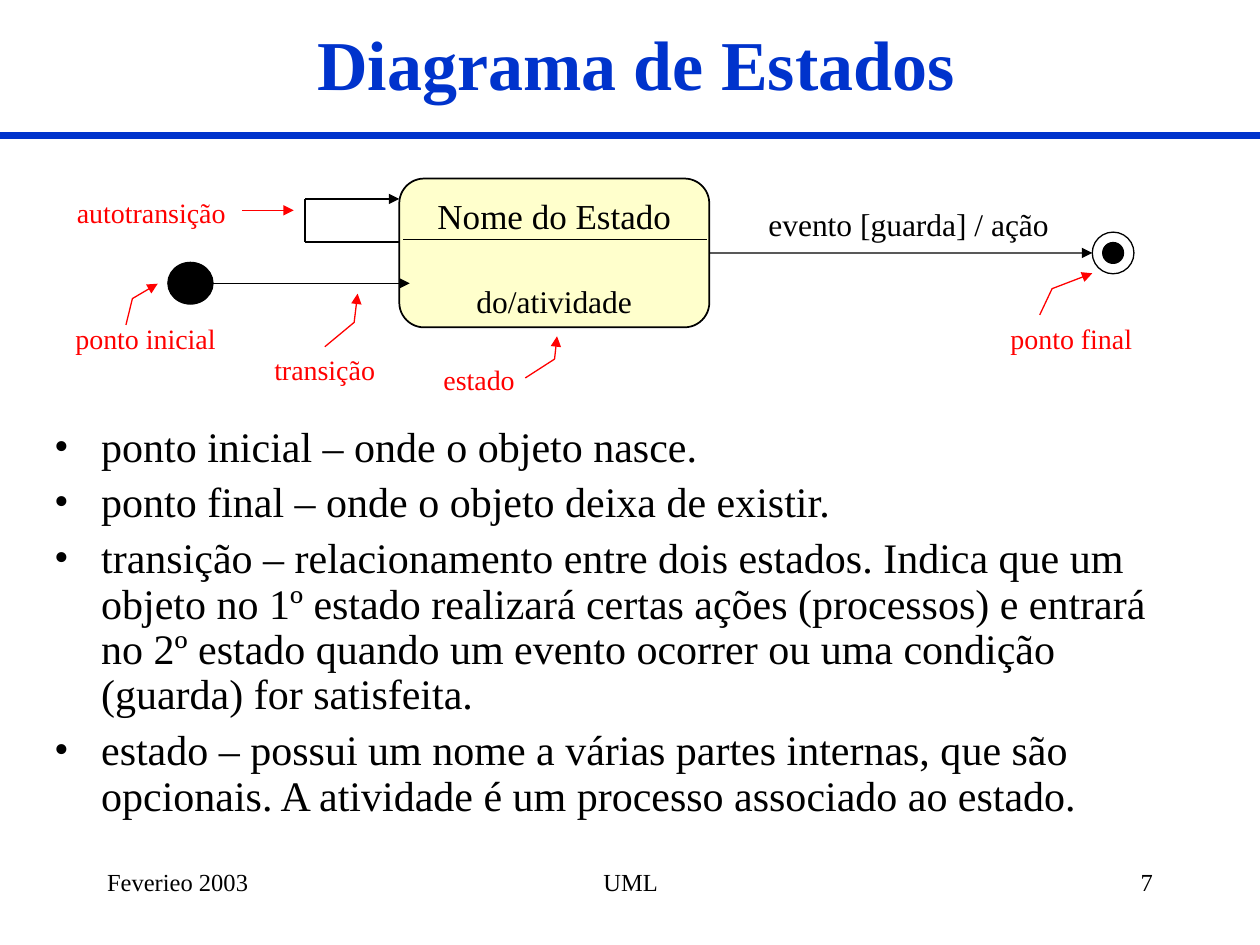
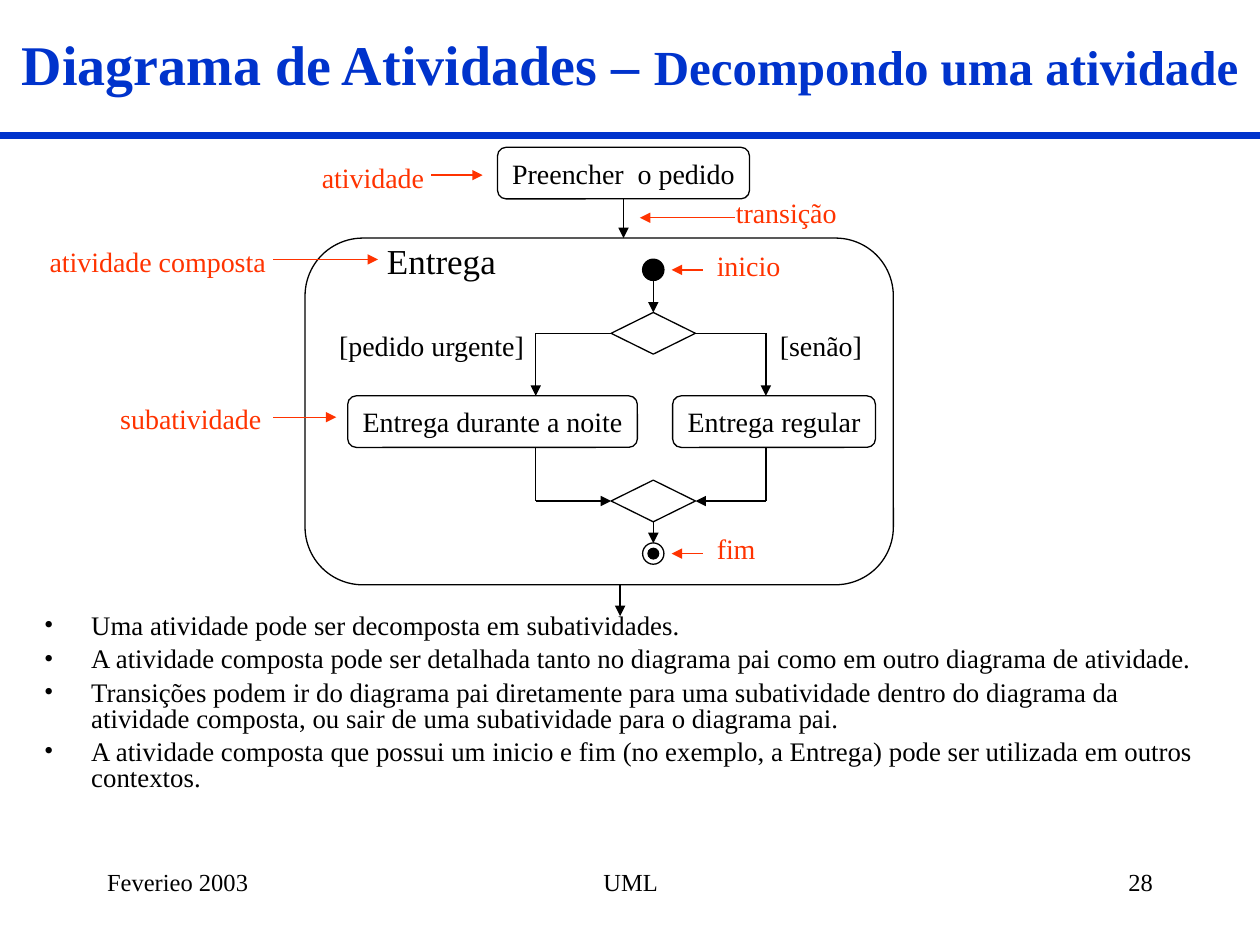
from lxml.etree import SubElement
from pptx import Presentation
from pptx.dml.color import RGBColor
from pptx.enum.shapes import MSO_CONNECTOR as Connector, MSO_SHAPE as Shape
from pptx.enum.text import MSO_ANCHOR as Anchor, PP_ALIGN as Align
from pptx.oxml.ns import qn
from pptx.util import Cm, Pt

COLOURS = {
    "black": "000000",
    "blue": "0033CC",
    "red": "FF0000",
    "orange": "FF3300",
    "cream": "FFFFCC",
}
FONT = "Times New Roman"
PAGE_WIDTH, PAGE_HEIGHT = 25.4, 19.05


def colour(name):
    return RGBColor.from_string(COLOURS[name])


def apply_format(target, values):
    for name, value in values.items():
        setattr(target, name, value)


def write(para, words, size, ink="black", bold=False):
    span = para.add_run()
    span.text = words
    apply_format(span.font, {"name": FONT, "size": Pt(size), "bold": bold})
    span.font.color.rgb = colour(ink)


def text_box(page, left, top, width, height, anchor=Anchor.TOP):
    box = page.shapes.add_textbox(Cm(left), Cm(top), Cm(width), Cm(height))
    apply_format(box.text_frame, {"word_wrap": True, "vertical_anchor": anchor})
    return box.text_frame


def label(page, words, left, top, width, ink="black", size=16, align=Align.LEFT):
    para = text_box(page, left, top, width, 1).paragraphs[0]
    para.alignment = align
    write(para, words, size, ink)


def style_outline(shape, ink="black", weight=0.75, tip=False):
    shape.line.color.rgb = colour(ink)
    shape.line.width = Pt(weight)
    if tip:
        outline = shape.element.spPr.find(qn("a:ln"))
        SubElement(outline, qn("a:tailEnd"), type="triangle")


def outlined(page, kind, left, top, width, height, fill=None, weight=0.75):
    shape = page.shapes.add_shape(kind, Cm(left), Cm(top), Cm(width), Cm(height))
    shape.shadow.inherit = False
    if fill:
        shape.fill.solid()
        shape.fill.fore_color.rgb = colour(fill)
    else:
        shape.fill.background()
    style_outline(shape, weight=weight)
    return shape


def circle(page, x, y, width, height=None, fill=None):
    height = height or width
    outlined(page, Shape.OVAL, x - width / 2, y - height / 2, width, height, fill)


def final_point(page, x, y, size):
    circle(page, x, y, size / 2, fill="black")
    circle(page, x, y, size)


def line(page, start, end, ink="black", tip=False, weight=0.75,
         begin_at=None, end_at=None):
    connector = page.shapes.add_connector(
        Connector.STRAIGHT, *(Cm(value) for value in (*start, *end)))
    style_outline(connector, ink, weight, tip)
    SubElement(connector.element.spPr, qn("a:effectLst"))
    if begin_at:
        connector.begin_connect(*begin_at)
    if end_at:
        connector.end_connect(*end_at)


def arrow(page, start, end, ink="black", **joins):
    line(page, start, end, ink, tip=True, **joins)


def bent_pointer(page, first, *others):
    builder = page.shapes.build_freeform(Cm(first[0]), Cm(first[1]))
    builder.add_line_segments([(Cm(x), Cm(y)) for x, y in others], close=False)
    pointer = builder.convert_to_shape()
    pointer.shadow.inherit = False
    pointer.fill.background()
    style_outline(pointer, "red", tip=True)


def activity(page, words, left, top, width):
    box = outlined(page, Shape.ROUNDED_RECTANGLE, left, top, width, 1.04)
    apply_format(box.text_frame, {"margin_left": 0, "margin_right": 0})
    para = box.text_frame.paragraphs[0]
    para.alignment = Align.CENTER
    write(para, words, 16)
    return box


def state(page, name, action, left, top, width, height):
    box = outlined(page, Shape.ROUNDED_RECTANGLE, left, top, width, height, "cream", 1)
    frame = box.text_frame
    apply_format(frame, {"vertical_anchor": Anchor.TOP, "margin_top": Cm(0.18)})
    for para, words, size, gap in (
        (frame.paragraphs[0], name, 20, 0),
        (frame.add_paragraph(), action, 18, 26),
    ):
        apply_format(para, {"alignment": Align.CENTER, "space_before": Pt(gap)})
        write(para, words, size)
    line(page, (left + 0.08, 4.83), (left + width - 0.05, 4.83))
    return box


def bullets(page, items, place, size, spacing, gap):
    frame = text_box(page, *place)
    for index, words in enumerate(items):
        para = frame.add_paragraph() if index else frame.paragraphs[0]
        apply_format(para, {"line_spacing": spacing, "space_before": Pt(gap)})
        write(para, words, size)
        properties = para._p.get_or_add_pPr()
        properties.set("marL", str(Cm(0.95)))
        properties.set("indent", str(Cm(-0.95)))
        SubElement(properties, qn("a:buFont"), typeface=FONT)
        SubElement(properties, qn("a:buChar"), char="•")


def add_page(deck, title, title_left, title_width, number):
    page = deck.slides.add_slide(deck.slide_layouts[6])
    para = text_box(page, title_left, 0, title_width, 2.54, Anchor.MIDDLE).paragraphs[0]
    para.alignment = Align.CENTER
    for words, size in title:
        write(para, words, size, "blue", bold=True)
    line(page, (0, 2.74), (PAGE_WIDTH, 2.74), "blue", weight=4)
    for words, left, width, align in (
        ("Feverieo 2003", 1.91, 5.28, Align.LEFT),
        ("UML", 8.69, 8.05, Align.CENTER),
        (number, 18.21, 5.28, Align.RIGHT),
    ):
        label(page, words, left, 17.35, width, size=14, align=align)
    return page


def state_page(deck):
    page = add_page(deck, [("Diagrama de Estados", 40)], 1.07, 23.5, "7")

    state_box = state(page, "Nome do Estado", "do/atividade", 8.05, 3.6, 6.25, 3)
    circle(page, 3.84, 5.71, 0.91, 0.84, "black")
    arrow(page, (3.84, 5.71), (8.26, 5.71))
    final_point(page, 22.44, 5.1, 0.84)
    arrow(page, (14.3, 5.1), (22.02, 5.1), begin_at=(state_box, 3))
    label(page, "evento [guarda] / ação", 15.24, 4.01, 6.6, size=18)

    line(page, (8.05, 4.88), (6.15, 4.88))
    line(page, (6.15, 4.88), (6.15, 4.01))
    arrow(page, (6.15, 4.01), (8.05, 4.01))

    for words, left, top, width in (
        ("autotransição", 1.3, 3.81, 3.8),
        ("ponto inicial", 1.27, 6.35, 3.4),
        ("transição", 5.28, 6.99, 3.4),
        ("estado", 8.69, 7.19, 2.4),
        ("ponto final", 20.12, 6.35, 3.4),
    ):
        label(page, words, left, top, width, "red")
    arrow(page, (4.88, 4.24), (5.92, 4.24), "red")
    for points in (
        ((2.54, 6.55), (2.67, 6.02), (3.18, 5.72)),
        ((6.55, 6.99), (7.14, 6.5), (7.21, 5.92)),
        ((10.59, 7.62), (11.18, 7.24), (11.23, 6.78)),
        ((20.96, 6.35), (21.21, 5.82), (22.02, 5.51)),
    ):
        bent_pointer(page, *points)

    bullets(page, (
        "ponto inicial – onde o objeto nasce.",
        "ponto final – onde o objeto deixa de existir.",
        "transição – relacionamento entre dois estados. Indica que um objeto no 1º "
        "estado realizará certas ações (processos) e entrará no 2º estado quando um "
        "evento ocorrer ou uma condição (guarda) for satisfeita.",
        "estado – possui um nome a várias partes internas, que são opcionais. "
        "A atividade é um processo associado ao estado.",
    ), (0.84, 8.46, 23.5, 8.89), 24, 0.9, 6)


def activity_page(deck):
    title = [("Diagrama de Atividades – ", 32), ("Decompondo uma atividade", 28)]
    page = add_page(deck, title, 0, PAGE_WIDTH, "28")

    order = activity(page, "Preencher  o pedido", 10.03, 2.97, 5.08)
    outlined(page, Shape.ROUNDED_RECTANGLE, 6.15, 4.8, 11.86, 6.99)
    arrow(page, (12.57, 4.01), (12.57, 4.8), begin_at=(order, 2))
    arrow(page, (12.5, 11.79), (12.5, 12.42))
    label(page, "Entrega", 7.2, 4.7, 3.4, size=20, align=Align.CENTER)

    activity(page, "Entrega durante a noite", 7.01, 7.98, 5.84)
    activity(page, "Entrega regular", 13.56, 7.98, 4.09)
    split, merge = (
        outlined(page, Shape.DIAMOND, 12.32, top, 1.7, 0.84) for top in (6.3, 9.68))
    for x, diamond_x, side in ((10.8, 12.32, 1), (15.44, 14.02, 3)):
        line(page, (x, 6.72), (diamond_x, 6.72), end_at=(split, side))
        arrow(page, (x, 6.72), (x, 7.98))
        line(page, (x, 9.02), (x, 10.1))
        arrow(page, (x, 10.1), (diamond_x, 10.1), end_at=(merge, side))
    label(page, "[pedido urgente]", 6.33, 6.5, 4.74, align=Align.CENTER)
    label(page, "[senão]", 15.22, 6.5, 2.66, align=Align.CENTER)

    middle = 13.17
    circle(page, middle, 5.44, 0.43, fill="black")
    arrow(page, (middle, 5.44), (middle, 6.3), end_at=(split, 0))
    final_point(page, middle, 11.16, 0.43)
    arrow(page, (middle, 10.52), (middle, 10.95), begin_at=(merge, 2))

    for words, left, top, width, align, start, end, y in (
        ("atividade", 6.15, 3.12, 2.74, Align.CENTER, 8.69, 9.73, 3.53),
        ("atividade composta", 0.64, 4.8, 5.08, Align.CENTER, 5.51, 7.62, 5.23),
        ("subatividade", 1.91, 7.98, 3.61, Align.RIGHT, 5.51, 6.78, 8.41),
        ("transição", 14.33, 3.81, 3.04, Align.CENTER, 14.81, 12.9, 4.39),
        ("inicio", 14.2, 4.88, 2.2, Align.LEFT, 14.17, 13.54, 5.44),
        ("fim", 14.2, 10.59, 1.8, Align.LEFT, 14.17, 13.54, 11.16),
    ):
        label(page, words, left, top, width, "orange", align=align)
        arrow(page, (start, y), (end, y), "orange")

    bullets(page, (
        "Uma atividade pode ser decomposta em subatividades.",
        "A atividade composta pode ser detalhada tanto no diagrama pai como em outro "
        "diagrama de atividade.",
        "Transições podem ir do diagrama pai diretamente para uma subatividade dentro "
        "do diagrama da atividade composta, ou sair de uma subatividade para o "
        "diagrama pai.",
        "A atividade composta que possui um inicio e fim (no exemplo, a Entrega) pode "
        "ser utilizada em outros contextos.",
    ), (0.64, 12.27, 23.93, 3.81), 15.3, 0.8, 4.5)


def main():
    deck = Presentation()
    apply_format(deck, {"slide_width": Cm(PAGE_WIDTH), "slide_height": Cm(PAGE_HEIGHT)})
    state_page(deck)
    activity_page(deck)
    deck.save("out.pptx")


if __name__ == "__main__":
    main()
